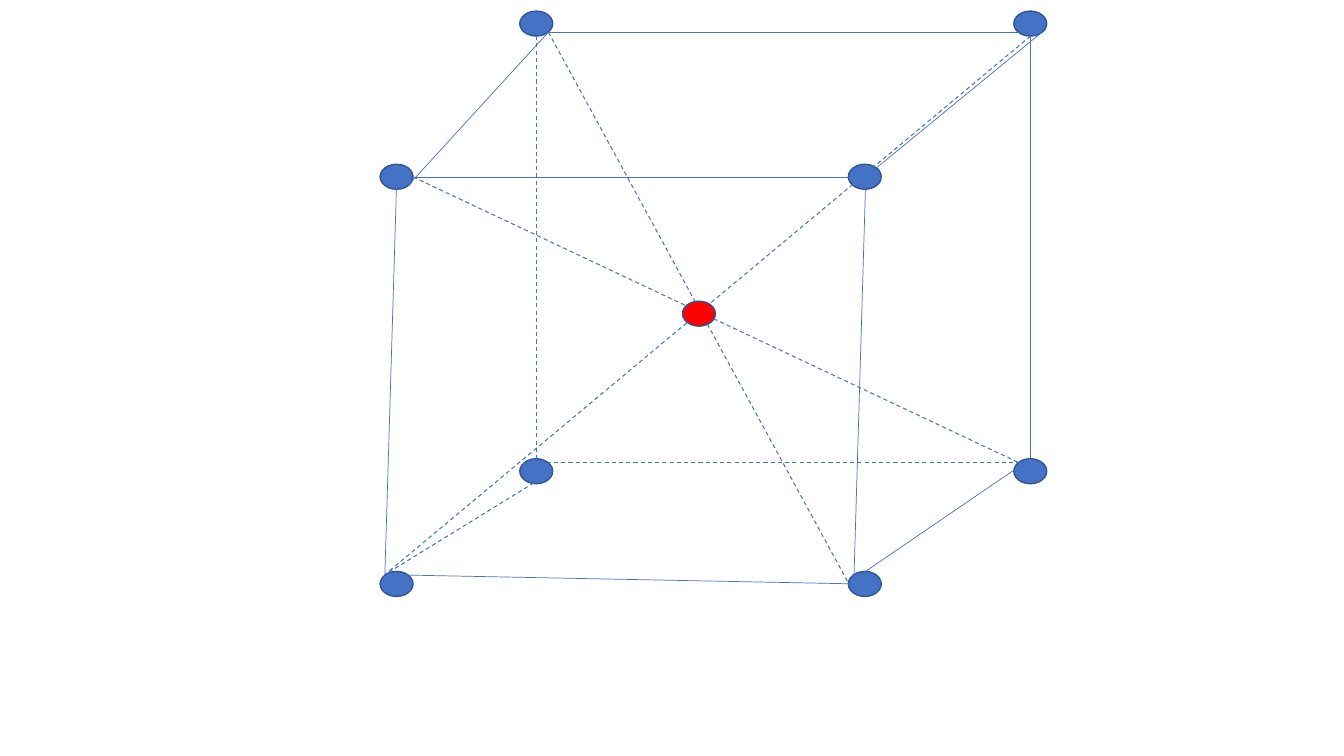
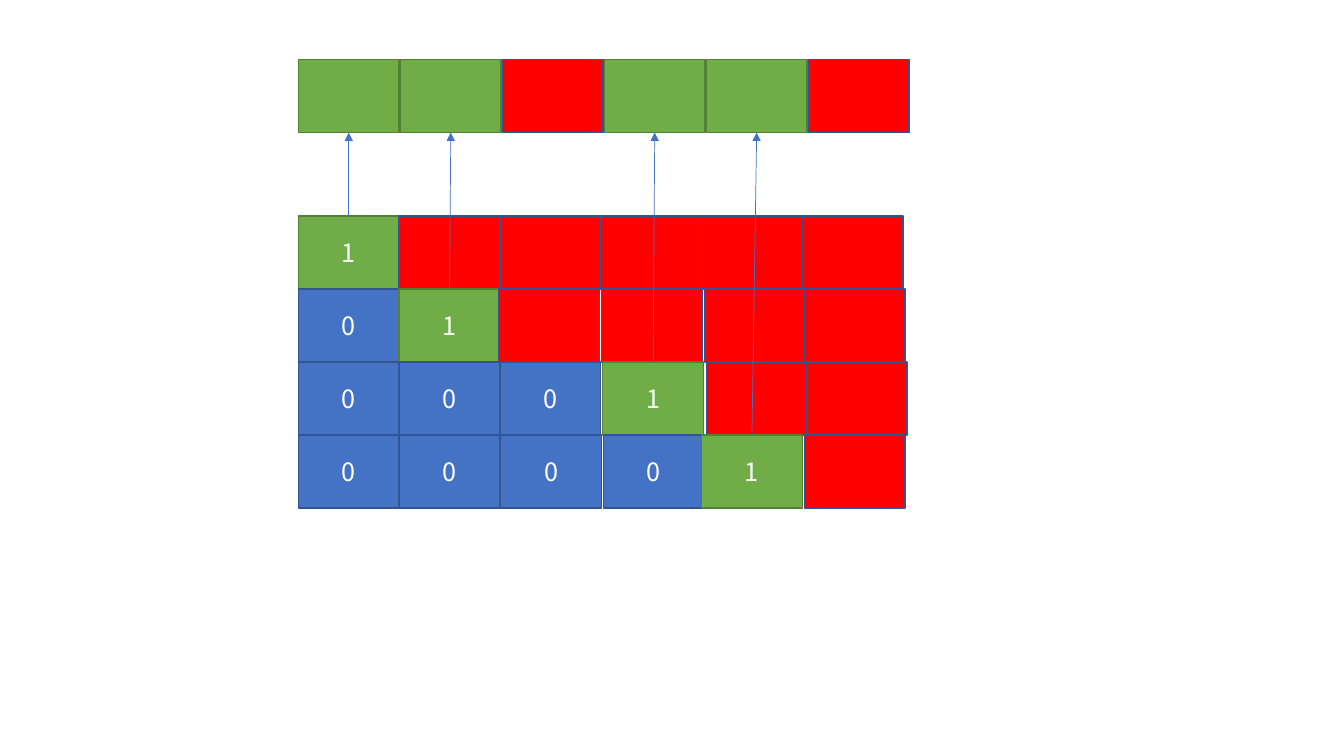
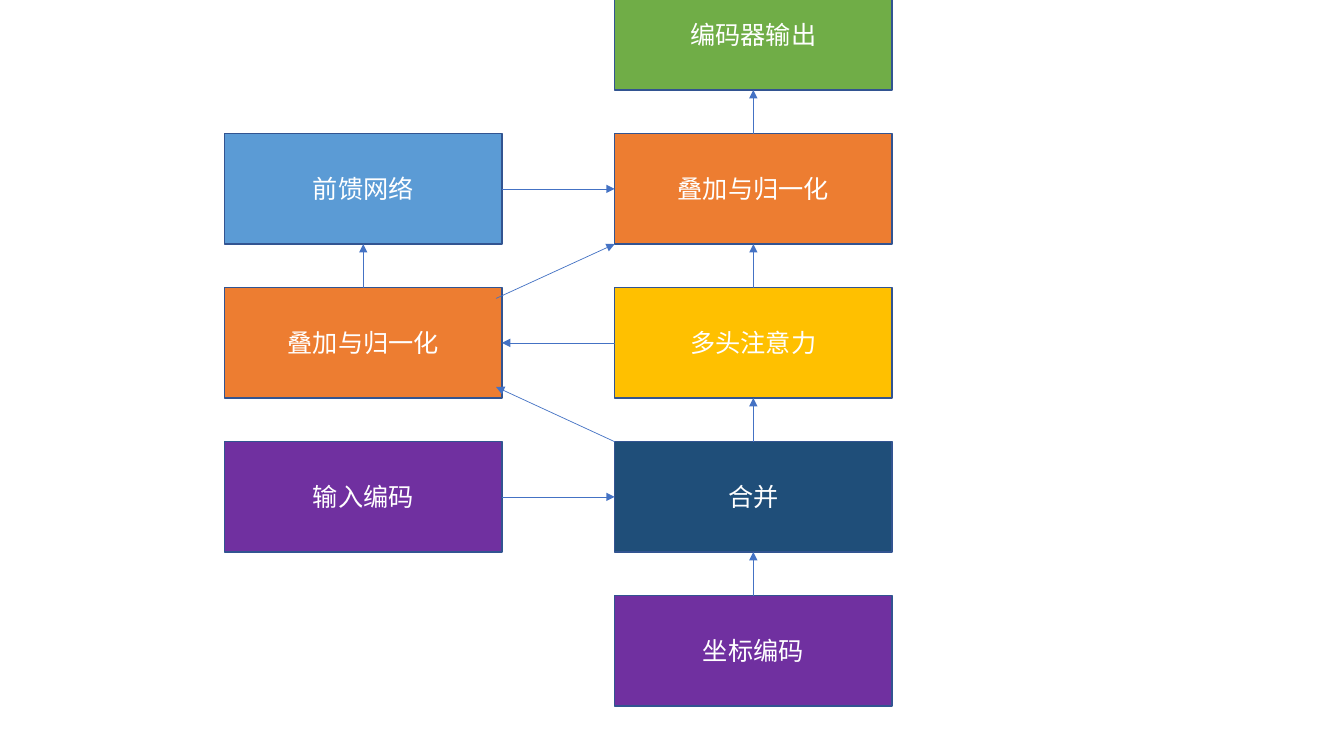
from lxml import etree
from pptx import Presentation
from pptx.dml.color import RGBColor
from pptx.enum.dml import MSO_LINE
from pptx.enum.shapes import MSO_CONNECTOR, MSO_SHAPE
from pptx.enum.text import MSO_ANCHOR, PP_ALIGN
from pptx.oxml.ns import qn
from pptx.util import Cm, Pt

RECT, OVAL = MSO_SHAPE.RECTANGLE, MSO_SHAPE.OVAL
STRAIGHT, DASH = MSO_CONNECTOR.STRAIGHT, MSO_LINE.DASH
CENTER, MIDDLE = PP_ALIGN.CENTER, MSO_ANCHOR.MIDDLE

BLUE = RGBColor(0x44, 0x72, 0xC4)
BLUE_EDGE = RGBColor(0x32, 0x54, 0x91)
GREEN = RGBColor(0x70, 0xAD, 0x47)
GREEN_EDGE = RGBColor(0x53, 0x80, 0x35)
RED = RGBColor(0xFF, 0x00, 0x00)
PURPLE = RGBColor(0x70, 0x30, 0xA0)
NAVY = RGBColor(0x1F, 0x4E, 0x79)
AMBER = RGBColor(0xFF, 0xC0, 0x00)
ORANGE = RGBColor(0xED, 0x7D, 0x31)
SKY = RGBColor(0x5B, 0x9B, 0xD5)
WHITE = RGBColor(0xFF, 0xFF, 0xFF)
FONT = "Noto Sans CJK SC"


def add_box(s, kind, x, y, w, h, fill, text="", edge=BLUE_EDGE):
    """Add a filled shape, measured in cm, with optional centred text."""
    sp = s.shapes.add_shape(kind, Cm(x), Cm(y), Cm(w), Cm(h))
    sp.shadow.inherit = False
    sp.fill.solid()
    sp.fill.fore_color.rgb = fill
    sp.line.color.rgb = edge
    sp.line.width = Pt(1)
    if text:
        tf = sp.text_frame
        tf.vertical_anchor = MIDDLE
        p = tf.paragraphs[0]
        p.text = text
        p.alignment = CENTER
        p.font.size = Pt(18)
        p.font.name = FONT
        p.font.color.rgb = WHITE
        props = p._p.pPr.find(qn("a:defRPr"))
        etree.SubElement(props, qn("a:ea"), typeface=FONT)


def add_line(s, start, end, dashed=False, arrow=False):
    """Add a thin blue line between two points in cm."""
    c = s.shapes.add_connector(STRAIGHT, *(Cm(v) for v in start + end))
    c.line.color.rgb = BLUE
    c.line.width = Pt(0.75 if dashed else 0.5)
    if dashed:
        c.line.dash_style = DASH
    if arrow:
        etree.SubElement(c.line._get_or_add_ln(), qn("a:tailEnd"), type="triangle")
    etree.SubElement(c._element.spPr, qn("a:effectLst"))


prs = Presentation()
prs.slide_width, prs.slide_height = Cm(33.87), Cm(19.05)
blank = prs.slide_layouts[6]

# Slide 1: cube with its diagonals
s = prs.slides.add_slide(blank)
NODE_W, NODE_H = 0.83, 0.63
FRONT = [(x, y) for y in (14.4, 4.14) for x in (9.58, 21.38)]
BACK = [(x, y) for y in (0.28, 11.56) for x in (13.1, 25.55)]
for x, y in FRONT + BACK:
    add_box(s, OVAL, x, y, NODE_W, NODE_H, BLUE)

front_bottom_left = (9.7, 14.48)
front_bottom_right = (21.39, 14.71)
front_top_left = (10.41, 4.46)
back_top_left = (13.82, 0.81)
back_top_right = (25.97, 0.91)
back_bottom_right = (25.97, 11.56)
visible_edges = [
    ((9.99, 4.76), front_bottom_left),
    (front_top_left, (22.22, 4.46)),
    ((21.81, 4.76), (21.51, 14.93)),
    (front_bottom_right, front_bottom_left),
    ((10.29, 4.67), back_top_left),
    (back_top_left, (25.68, 0.81)),
    (back_top_right, back_bottom_right),
    (back_bottom_right, (21.81, 14.4)),
    ((26.26, 0.81), (22.1, 4.22)),
]
hidden_edges = [
    ((13.92, 11.88), front_bottom_left),
    ((13.52, 0.91), (13.52, 11.56)),
    ((26.26, 11.66), (13.82, 11.66)),
]
diagonals = [
    (back_top_left, front_bottom_right),
    (front_top_left, (25.68, 11.66)),
    (back_top_right, front_bottom_left),
]
for start, end in visible_edges:
    add_line(s, start, end)
for start, end in hidden_edges + diagonals:
    add_line(s, start, end, dashed=True)
add_box(s, OVAL, 17.2, 7.59, NODE_W, NODE_H, RED)

# Slide 2: matrix whose leading ones mark the cells of the top row
s = prs.slides.add_slide(blank)
CELL_W, CELL_H = 2.54, 1.84
MATRIX_LEFT, MATRIX_TOP, RESULT_TOP = 7.52, 5.44, 1.5
matrix = [
    ("1-----", [MATRIX_LEFT + CELL_W * i for i in range(6)]),
    ("01----", [7.52, 10.06, 12.57, 15.16, 17.75, 20.27]),
    ("0001--", [7.52, 10.06, 12.6, 15.19, 17.81, 20.32]),
    ("00001-", [7.52, 10.06, 12.62, 15.21, 17.68, 20.27]),
]
STYLES = {"1": (GREEN, GREEN_EDGE), "0": (BLUE, BLUE_EDGE), "-": (RED, BLUE_EDGE)}
result_lefts = [MATRIX_LEFT + 2.57 * i for i in range(6)]
for mark, x in zip("11-11-", result_lefts):
    fill, edge = STYLES[mark]
    add_box(s, RECT, x, RESULT_TOP, CELL_W, CELL_H, fill, edge=edge)
for row, (marks, lefts) in enumerate(matrix):
    for mark, x in zip(marks, lefts):
        fill, edge = STYLES[mark]
        add_box(s, RECT, x, MATRIX_TOP + row * CELL_H, CELL_W, CELL_H, fill,
                mark.strip("-"), edge)
for row, (marks, lefts) in enumerate(matrix):
    col = marks.index("1")
    add_line(s, (lefts[col] + CELL_W / 2, MATRIX_TOP + row * CELL_H),
             (result_lefts[col] + CELL_W / 2, RESULT_TOP + CELL_H), arrow=True)

# Slide 3: encoder block diagram
s = prs.slides.add_slide(blank)
BLOCK_W, BLOCK_H = 6.99, 2.78
LEFT, RIGHT = 5.66, 15.49
LEFT_EDGE = LEFT + BLOCK_W
tops = [-0.51 + 3.88 * row for row in range(5)]
blocks = [
    (RIGHT, 4, PURPLE, "坐标编码"),
    (RIGHT, 3, NAVY, "合并"),
    (RIGHT, 2, AMBER, "多头注意力"),
    (RIGHT, 1, ORANGE, "叠加与归一化"),
    (RIGHT, 0, GREEN, "编码器输出"),
    (LEFT, 3, PURPLE, "输入编码"),
    (LEFT, 2, ORANGE, "叠加与归一化"),
    (LEFT, 1, SKY, "前馈网络"),
]
for x, row, fill, text in blocks:
    add_box(s, RECT, x, tops[row], BLOCK_W, BLOCK_H, fill, text)

for x, row in [(RIGHT, 4), (RIGHT, 3), (RIGHT, 2), (RIGHT, 1), (LEFT, 2)]:
    mid = x + BLOCK_W / 2
    add_line(s, (mid, tops[row]), (mid, tops[row - 1] + BLOCK_H), arrow=True)
for row, x1, x2 in [(3, LEFT_EDGE, RIGHT), (2, RIGHT, LEFT_EDGE), (1, LEFT_EDGE, RIGHT)]:
    mid = tops[row] + BLOCK_H / 2
    add_line(s, (x1, mid), (x2, mid), arrow=True)
add_line(s, (RIGHT, tops[3]), (12.5, 9.75), arrow=True)
add_line(s, (12.5, 7.52), (RIGHT, tops[1] + BLOCK_H), arrow=True)

prs.save("out.pptx")
